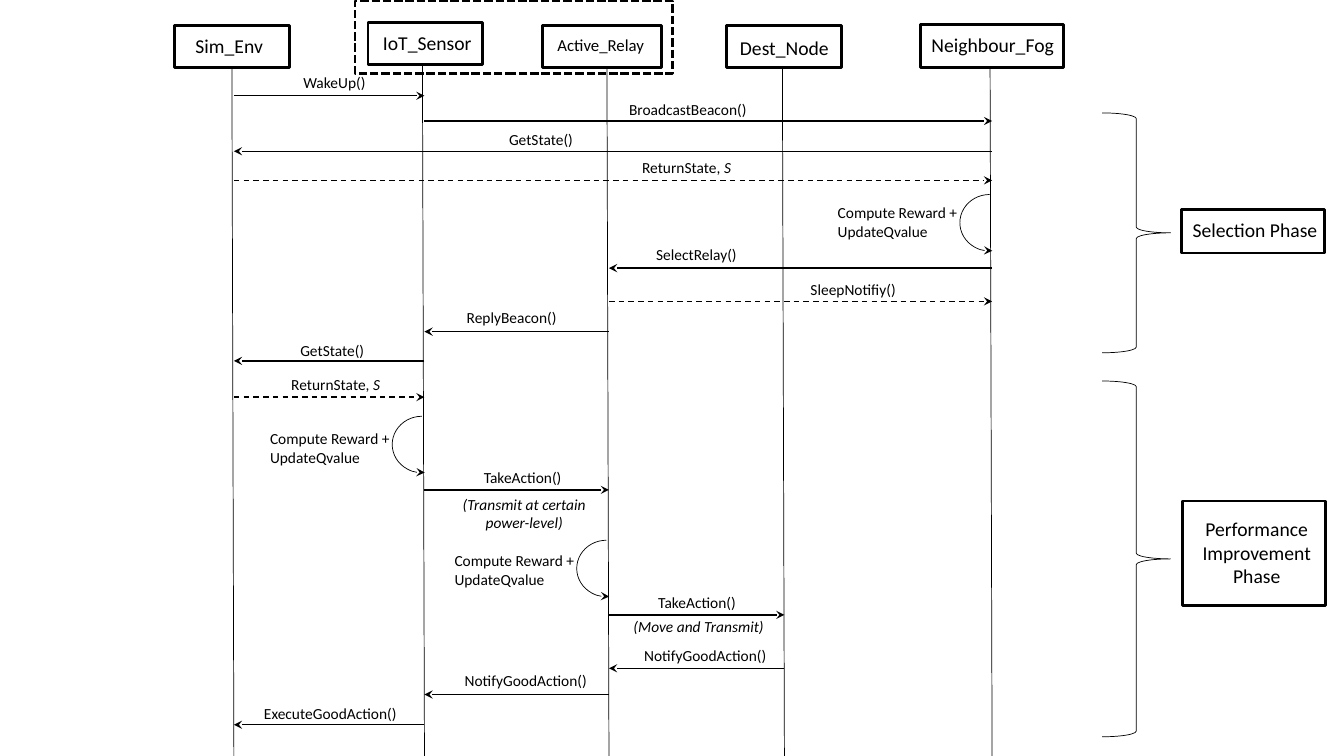
from lxml.etree import SubElement
from pptx import Presentation
from pptx.dml.color import RGBColor
from pptx.enum.dml import MSO_LINE
from pptx.enum.shapes import MSO_CONNECTOR, MSO_SHAPE
from pptx.enum.text import MSO_AUTO_SIZE, PP_ALIGN
from pptx.oxml.ns import qn
from pptx.util import Inches, Pt

COLORS = {"ink": "000000"}

LIFELINES = {"env": 2.32, "sensor": 4.21, "relay": 6.04, "dest": 7.78, "fog": 9.84}

PARTICIPANTS = [
    ("env", "Sim_Env", (1.73, 0.25, 1.14, 0.42), (1.84, 0.29, 0.99, 0.34), 14),
    ("sensor", "IoT_Sensor", (3.65, 0.22, 1.14, 0.42), (3.7, 0.26, 1.14, 0.34), 14),
    ("relay", "Active_Relay", (5.38, 0.25, 1.18, 0.42), (5.43, 0.3, 1.11, 0.3), 12),
    ("dest", "Dest_Node", (7.21, 0.25, 1.14, 0.42), (7.24, 0.31, 1.11, 0.34), 14),
    ("fog", "Neighbour_Fog", (9.13, 0.24, 1.42, 0.43), (9.14, 0.28, 1.42, 0.34), 14),
]

MESSAGES = [
    ("env", "sensor", 0.95, "WakeUp()", (2.91, 0.68, 0.99)),
    ("sensor", "fog", 1.2, "BroadcastBeacon()", (6.14, 0.94, 1.55)),
    ("fog", "env", 1.5, "GetState()", (4.95, 1.24, 0.99)),
    ("env", "fog", 1.79, "ReturnState, ", (6.27, 1.52, 1.33)),
    ("fog", "relay", 2.66, "SelectRelay()", (6.41, 2.38, 1.1)),
    ("relay", "fog", 2.99, "SleepNotifiy()", (7.94, 2.73, 1.1)),
    ("relay", "sensor", 3.29, "ReplyBeacon()", (4.53, 3.01, 1.25)),
    ("sensor", "env", 3.58, "GetState()", (2.88, 3.33, 0.99)),
    ("env", "sensor", 3.94, "ReturnState, ", (2.79, 3.67, 1.33)),
    ("sensor", "relay", 4.86, "TakeAction()", (4.7, 4.59, 0.99)),
    ("relay", "dest", 6.1, "TakeAction()", (6.43, 5.83, 0.99)),
    ("dest", "relay", 6.63, "NotifyGoodAction()", (6.29, 6.36, 1.47)),
    ("relay", "sensor", 6.89, "NotifyGoodAction()", (4.51, 6.61, 1.47)),
    ("sensor", "env", 7.19, "ExecuteGoodAction()", (2.52, 6.94, 1.57)),
]
DASHED = ("ReturnState, ", "SleepNotifiy()")

SELF_CALLS = [("fog", 1.93, 1.97), ("sensor", 4.13, 4.21), ("relay", 5.36, 5.42)]

NOTES = [
    ("(Transmit at certain power-level)", (4.37, 4.86, 1.66, 0.47)),
    ("(Move and Transmit)", (6.1, 6.07, 1.66, 0.29)),
]

PHASES = [
    ("Selection Phase", (10.93, 1.12, 0.68, 2.38), (11.72, 2.08, 1.42, 0.43),
     (11.73, 2.11, 1.5, 0.34), PP_ALIGN.LEFT),
    ("Performance\nImprovement\nPhase", (10.93, 3.78, 0.68, 3.53), (11.73, 4.97, 1.42, 1.04),
     (11.78, 5.08, 1.37, 1.04), PP_ALIGN.CENTER),
]


class SequenceDiagram:
    def __init__(self, slide, font="Calibri"):
        self.slide = slide
        self.font = font

    def stroke(self, item, width, dash=None, arrow=False):
        item.line.color.rgb = RGBColor.from_string(COLORS["ink"])
        item.line.width = Pt(width)
        if dash:
            item.line.dash_style = dash
        if arrow:
            outline = item.element.spPr.find(qn("a:ln"))
            SubElement(outline, qn("a:tailEnd"), type="stealth")

    def shape(self, kind, frame, width, dash=None, arrow=False):
        shape = self.slide.shapes.add_shape(kind, *map(Inches, frame))
        shape.shadow.inherit = False
        shape.fill.background()
        self.stroke(shape, width, dash, arrow)
        return shape

    def line(self, start, end, width, dash=None, arrow=False):
        line = self.slide.shapes.add_connector(
            MSO_CONNECTOR.STRAIGHT, *map(Inches, start + end))
        self.stroke(line, width, dash, arrow)
        SubElement(line.element.spPr, qn("a:effectLst"))

    def text(self, text, frame, size=11, align=PP_ALIGN.LEFT, italic=False, symbol=""):
        box = self.slide.shapes.add_textbox(*map(Inches, frame))
        body = box.text_frame
        body.word_wrap = True
        body.auto_size = MSO_AUTO_SIZE.SHAPE_TO_FIT_TEXT
        for index, words in enumerate(text.split("\n")):
            para = body.add_paragraph() if index else body.paragraphs[0]
            para.alignment = align
            for part, slanted in ((words, italic), (symbol, True)):
                if part:
                    span = para.add_run()
                    span.text = part
                    span.font.name = self.font
                    span.font.size = Pt(size)
                    span.font.italic = slanted
                    span.font.color.rgb = RGBColor.from_string(COLORS["ink"])

    def participant(self, key, name, frame, label, size):
        self.shape(MSO_SHAPE.RECTANGLE, frame, 2)
        self.text(name, label, size=size)
        foot = LIFELINES[key]
        self.line((foot - 0.02, frame[1] + frame[3]), (foot, 7.5), 0.5)

    def message(self, sender, receiver, top, words, label):
        dash = MSO_LINE.DASH if words in DASHED else None
        self.line((LIFELINES[sender], top), (LIFELINES[receiver], top), 1, dash, arrow=True)
        self.text(words, label + (0.29,), symbol="S" if words.endswith(", ") else "")

    def self_call(self, key, top, label_top):
        left = LIFELINES[key] - 0.32
        arc = self.shape(MSO_SHAPE.ARC, (left, top, 0.59, 0.56), 0.5, arrow=True)
        arc.adjustments[0] = 162
        arc.adjustments[1] = 57.276
        arc.element.spPr.find(qn("a:xfrm")).set("flipH", "1")
        self.text("Compute Reward +\nUpdateQvalue", (left - 1.31, label_top, 1.5, 0.47))

    def phase(self, name, brace, frame, label, align):
        self.shape(MSO_SHAPE.RIGHT_BRACE, brace, 0.5)
        self.shape(MSO_SHAPE.RECTANGLE, frame, 2)
        self.text(name, label, size=14, align=align)


def main():
    deck = Presentation()
    deck.slide_width = Inches(13.33)
    deck.slide_height = Inches(7.5)
    page = deck.slides.add_slide(deck.slide_layouts[6])
    diagram = SequenceDiagram(page)
    for participant in PARTICIPANTS:
        diagram.participant(*participant)
    for message in MESSAGES:
        diagram.message(*message)
    for call in SELF_CALLS:
        diagram.self_call(*call)
    for note, frame in NOTES:
        diagram.text(note, frame, align=PP_ALIGN.CENTER, italic=True)
    for phase in PHASES:
        diagram.phase(*phase)
    diagram.shape(MSO_SHAPE.RECTANGLE, (3.52, 0.01, 3.15, 0.72), 2, MSO_LINE.SQUARE_DOT)
    deck.save("out.pptx")


if __name__ == "__main__":
    main()
